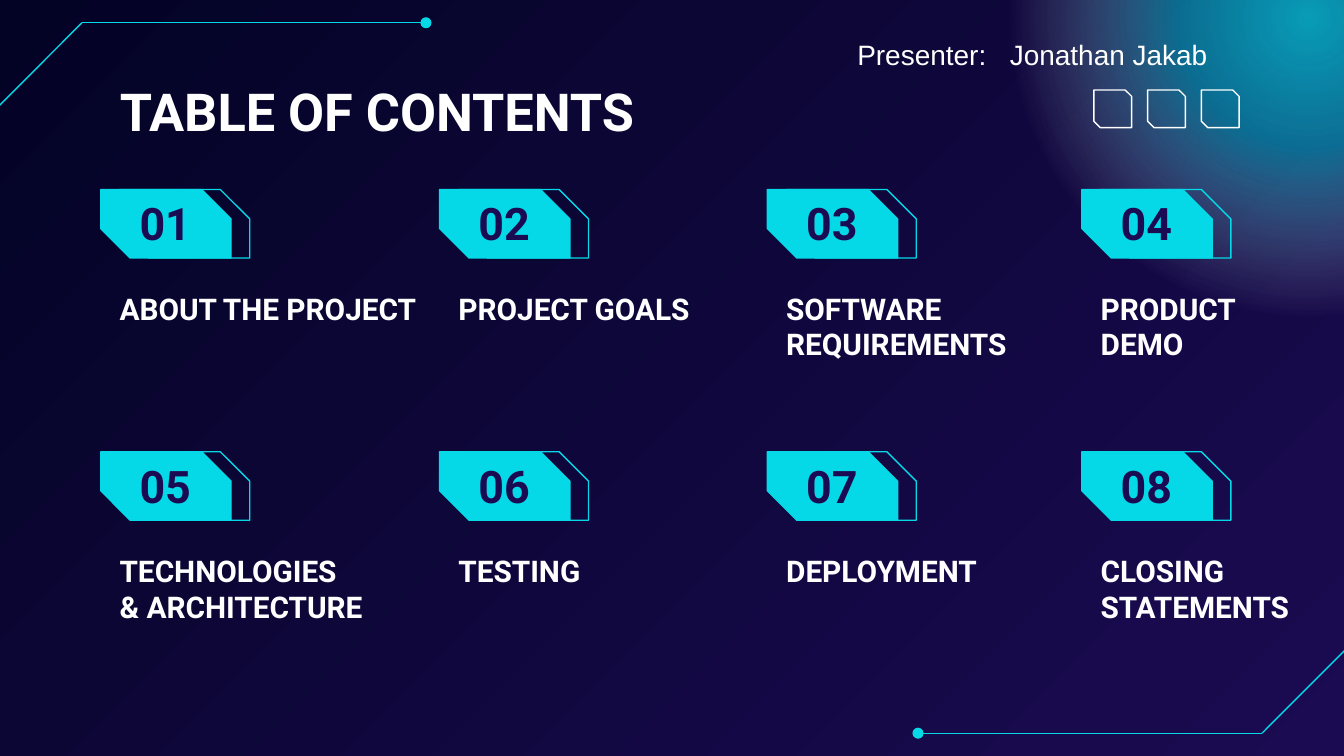
from lxml import etree
from pptx import Presentation
from pptx import util as u
from pptx.dml.color import RGBColor
from pptx.enum import shapes, text
from pptx.oxml import parse_xml
from pptx.oxml.ns import nsdecls, qn

TOPICS = [
    ["ABOUT THE PROJECT"], ["PROJECT GOALS"],
    ["SOFTWARE", "REQUIREMENTS"], ["PRODUCT", "DEMO"],
    ["TECHNOLOGIES", "& ARCHITECTURE"], ["TESTING"],
    ["DEPLOYMENT"], ["CLOSING", "STATEMENTS"],
]
TITLE = "TABLE OF CONTENTS"
TALKER = "Presenter:\tJonathan Jakab"

COLORS = {"night": "030325", "violet": "1B0B52", "cyan": "05D8E7", "white": "FFFFFF"}
FONTS = {
    "title": dict(name="Roboto", size=u.Pt(28), bold=True),
    "number": dict(name="Roboto", size=u.Pt(24), bold=True),
    "label": dict(name="Roboto", size=u.Pt(16), bold=True),
    "talker": dict(name="Arial", size=u.Pt(15), bold=False),
}
FRAME = dict(word_wrap=True, auto_size=text.MSO_AUTO_SIZE.NONE,
             **{f"margin_{side}": u.Pt(7.2) for side in ("left", "right", "top", "bottom")})

WIDE, HIGH = 720, 405
COLS = [54, 235.5, 411.1, 579.6]
ROWS = [101.5, 242]
BADGE = (69.8, 36.7)
SHIFT = 10
TRACE = [(-1.4, 57.6), (43.9, 12.2), (228.2, 12.2)]
# Gradient stops of the glow: position, colour, opacity (all in percent)
GLOW = [(0, "cyan", 71), (30, "cyan", 48), (69, "white", 0), (100, "white", 0)]


def color(name):
    return RGBColor.from_string(COLORS[name])


def pts(*nums):
    return [u.Pt(n) for n in nums]


def put(obj, vals):
    for key, val in vals.items():
        setattr(obj, key, val)


def write(box, lines, style, ink, align=text.PP_ALIGN.LEFT, anchor=text.MSO_ANCHOR.TOP):
    frame = box.text_frame
    put(frame, FRAME)
    frame.vertical_anchor = anchor
    frame.text = "\n".join(lines)
    for para in frame.paragraphs:
        para.alignment = align
        for run in para.runs:
            put(run.font, FONTS[style])
            run.font.color.rgb = color(ink)


def add_snip(slide, left, top, size, cut, ink, solid=False):
    """Add a box with its top right and bottom left corners cut off."""
    box = slide.shapes.add_shape(shapes.MSO_SHAPE.SNIP_2_DIAG_RECTANGLE,
                                 *pts(left, top, *size))
    box.shadow.inherit = False
    box.adjustments[0], box.adjustments[1] = 0, cut
    if solid:
        box.fill.solid()
        box.fill.fore_color.rgb = color(ink)
    else:
        box.fill.background()
    box.line.color.rgb = color(ink)
    box.line.width = u.Pt(0.75)


def add_glow(slide):
    disc = slide.shapes.add_shape(shapes.MSO_SHAPE.OVAL, *pts(536.4, -154.8, 328.3, 328.3))
    disc.shadow.inherit = False
    disc.line.fill.background()
    stops = "".join(
        f'<a:gs pos="{pos * 1000}"><a:srgbClr val="{COLORS[ink]}">'
        f'<a:alpha val="{alpha * 1000}"/></a:srgbClr></a:gs>'
        for pos, ink, alpha in GLOW)
    fill = parse_xml(
        f'<a:gradFill {nsdecls("a")} rotWithShape="1"><a:gsLst>{stops}</a:gsLst>'
        '<a:path path="circle"><a:fillToRect l="50000" t="50000" r="50000" b="50000"/>'
        '</a:path></a:gradFill>')
    disc._element.spPr.find(qn("a:prstGeom")).addnext(fill)


def add_trace(slide, points):
    """Join the points with lines and end the last one with a dot."""
    for start, end in zip(points, points[1:]):
        line = slide.shapes.add_connector(shapes.MSO_CONNECTOR.STRAIGHT, *pts(*start, *end))
        line.line.color.rgb = color("cyan")
        line.line.width = u.Pt(0.75)
        props = line._element.spPr
        if end == points[-1]:
            etree.SubElement(props.find(qn("a:ln")), qn("a:tailEnd"), type="oval")
        etree.SubElement(props, qn("a:effectLst"))


def add_topic(slide, index, lines):
    row, col = divmod(index, len(COLS))
    left, top = COLS[col], ROWS[row]
    add_snip(slide, left + SHIFT, top, BADGE, 0.43, "cyan")
    add_snip(slide, left, top, BADGE, 0.43, "cyan", solid=True)
    number = slide.shapes.add_textbox(*pts(left + SHIFT, top - 4, 49, 44))
    write(number, [f"{index + 1:02}"], "number", "violet",
          text.PP_ALIGN.CENTER, text.MSO_ANCHOR.MIDDLE)
    label = slide.shapes.add_textbox(*pts(left + 3, top + 46.8, 188, 54))
    write(label, lines, "label", "white")


def add_talker(slide):
    box = slide.shapes.add_textbox(*pts(452.2, 13, 236, 32.4))
    write(box, [TALKER], "talker", "white")
    props = box.text_frame.paragraphs[0]._p.get_or_add_pPr()
    tabs = etree.SubElement(props, qn("a:tabLst"))
    etree.SubElement(tabs, qn("a:tab"), pos=str(u.Pt(81.7)), algn="l")


def main():
    prs = Presentation()
    put(prs, dict(slide_width=u.Pt(WIDE), slide_height=u.Pt(HIGH)))
    slide = prs.slides.add_slide(prs.slide_layouts[5])

    back = slide.background.fill
    back.gradient()
    back.gradient_angle = 315
    for stop, ink in zip(back.gradient_stops, ("night", "violet")):
        stop.color.rgb = color(ink)

    add_glow(slide)
    add_trace(slide, TRACE)
    add_trace(slide, [(WIDE - x, HIGH - y) for x, y in TRACE])

    title = slide.shapes.title
    put(title, dict(zip(("left", "top", "width", "height"), pts(57, 35.3, 565, 45.4))))
    write(title, [TITLE], "title", "white")

    for index, lines in enumerate(TOPICS):
        add_topic(slide, index, lines)
    for step in range(3):
        add_snip(slide, 586 + 28.8 * step, 48.2, (20.2, 20.2), 0.17, "white")
    add_talker(slide)
    prs.save("out.pptx")


if __name__ == "__main__":
    main()
